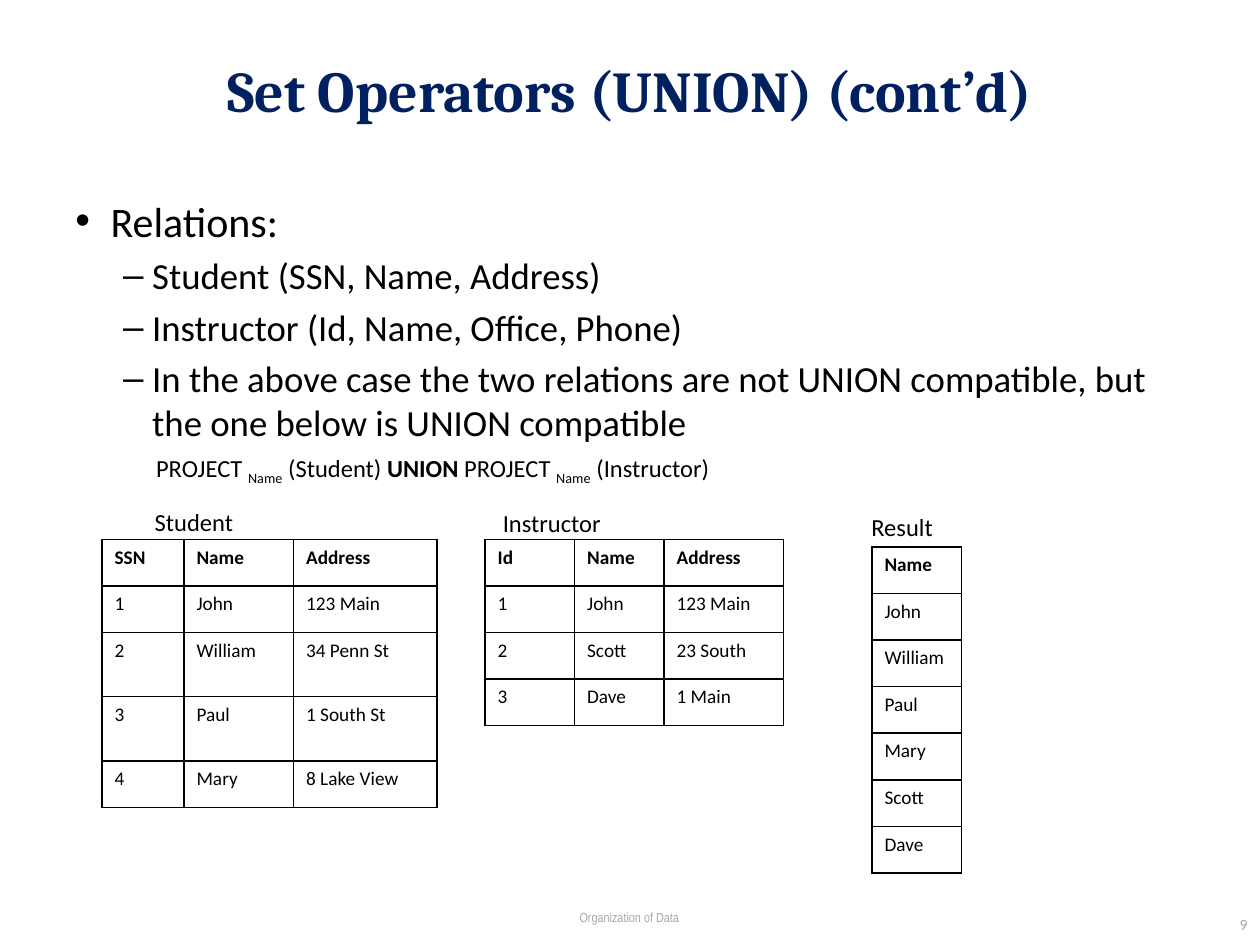
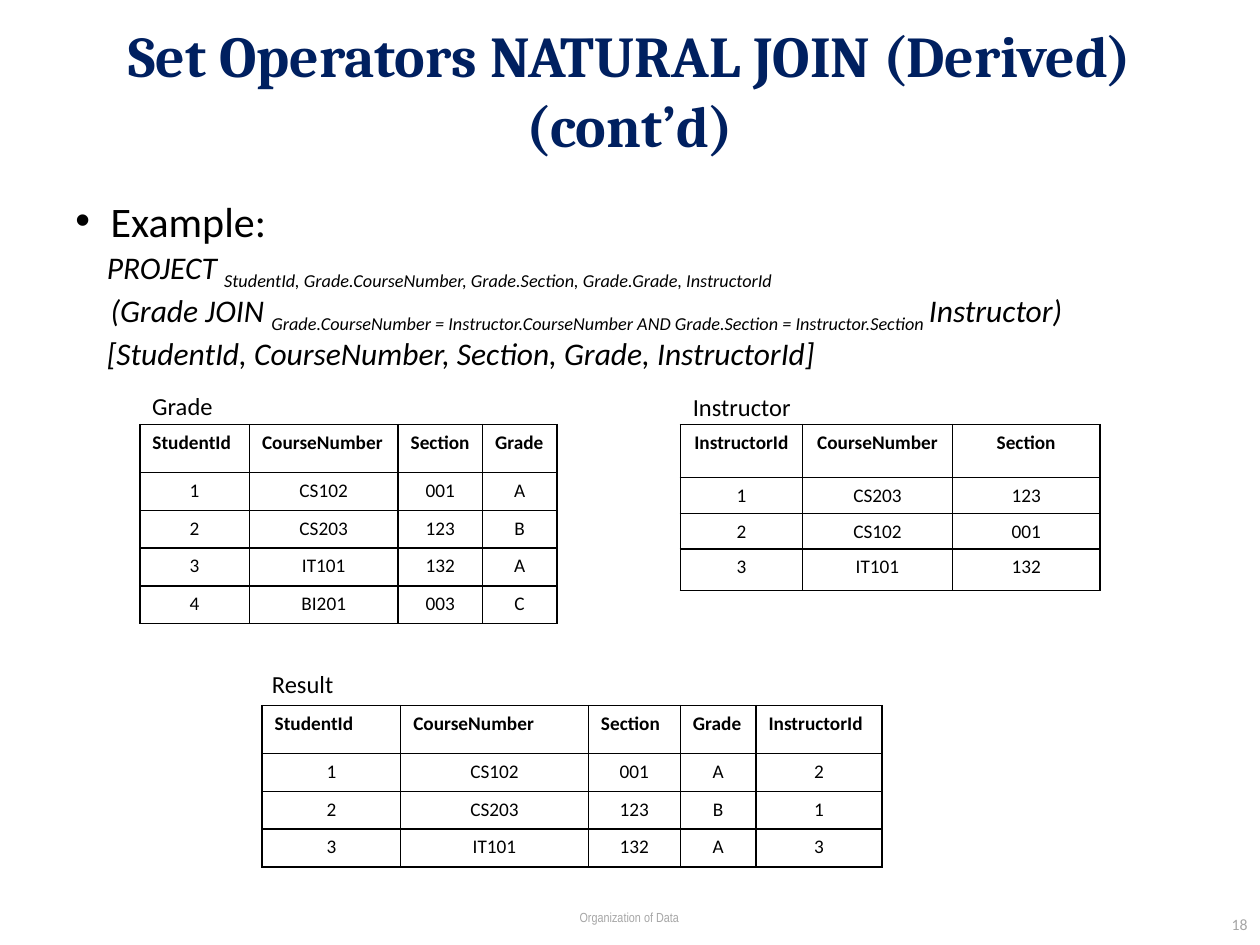
from lxml import etree
from pptx import Presentation
from pptx.dml.color import RGBColor
from pptx.enum.text import MSO_ANCHOR, MSO_AUTO_SIZE, PP_ALIGN
from pptx.oxml.ns import qn
from pptx.util import Inches, Pt

LEFT, CENTER, RIGHT = PP_ALIGN.LEFT, PP_ALIGN.CENTER, PP_ALIGN.RIGHT
TOP, MIDDLE = MSO_ANCHOR.TOP, MSO_ANCHOR.MIDDLE
NO_FIT = MSO_AUTO_SIZE.NONE
NAVY = RGBColor(0x00, 0x20, 0x60)
BLACK = RGBColor(0x00, 0x00, 0x00)
WHITE = RGBColor(0xFF, 0xFF, 0xFF)
GRAY = RGBColor(0xA6, 0xA6, 0xA6)
TITLE_FONT, BODY_FONT, FOOTER_FONT = "Cambria", "Calibri", "Arial Narrow"
FOOTER = "Organization of Data"
# Per outline level: bullet, left margin, hanging indent, text size
LEVELS = [("•", 0.28, 0.28, 24), ("–", 0.61, 0.23, 21)]
SUB, BOLD = "sub", "bold"

# Formula lines are (left margin, [(text, style), ...])
SLIDES = [
    {
        "title": "Set Operators (UNION) (cont’d)",
        "number": "9",
        "outline": [
            (0, "Relations:"),
            (1, "Student (SSN, Name, Address)"),
            (1, "Instructor (Id, Name, Office, Phone)"),
            (1, "In the above case the two relations are not UNION compatible, "
                "but the one below is UNION compatible"),
        ],
        "formula": {
            "at": (1.14, 3.54, 4.83, 0.38), "size": 14, "italic": False,
            "anchor": MIDDLE,
            "lines": [(0, [("PROJECT ", None), ("Name", SUB), (" (Student) ", None),
                           ("UNION", BOLD), (" PROJECT ", None), ("Name", SUB),
                           (" (Instructor)", None)])],
        },
        "tables": [
            {
                "label": "Student", "label_at": (0.81, 4, 1.46, 0.28),
                "label_align": CENTER, "head_align": LEFT, "body_align": LEFT,
                "at": (0.81, 4.28), "columns": [0.65, 0.87, 1.14],
                "heights": [0.37, 0.37, 0.51, 0.51, 0.37],
                "rows": [("SSN", "Name", "Address"),
                         ("1", "John", "123 Main"),
                         ("2", "William", "34 Penn St"),
                         ("3", "Paul", "1 South St"),
                         ("4", "Mary", "8 Lake View")],
            },
            {
                "label": "Instructor", "label_at": (3.65, 4.01, 1.46, 0.28),
                "label_align": CENTER, "head_align": LEFT, "body_align": LEFT,
                "at": (3.85, 4.28), "columns": [0.71, 0.71, 0.95],
                "heights": [0.37] * 4,
                "rows": [("Id", "Name", "Address"),
                         ("1", "John", "123 Main"),
                         ("2", "Scott", "23 South"),
                         ("3", "Dave", "1 Main")],
            },
            {
                "label": "Result", "label_at": (6.43, 4.04, 1.46, 0.28),
                "label_align": CENTER, "head_align": LEFT, "body_align": LEFT,
                "at": (6.92, 4.34), "columns": [0.71],
                "heights": [0.37] * 7,
                "rows": [("Name",), ("John",), ("William",), ("Paul",),
                         ("Mary",), ("Scott",), ("Dave",)],
            },
        ],
    },
    {
        "title": "Set Operators NATURAL JOIN (Derived) (cont’d)",
        "number": "18",
        "outline": [(0, "Example:")],
        "formula": {
            "at": (0, 1.92, 9.5, 1.01), "size": 18, "italic": True,
            "anchor": TOP,
            "lines": [
                (0.75, [("PROJECT ", None),
                        ("StudentId, Grade.CourseNumber, Grade.Section, "
                         "Grade.Grade, InstructorId", SUB)]),
                (0.78, [("(Grade JOIN ", None),
                        ("Grade.CourseNumber = Instructor.CourseNumber AND "
                         "Grade.Section = Instructor.Section ", SUB),
                        ("Instructor)", None)]),
                (0.75, [("[StudentId, CourseNumber, Section, Grade, InstructorId]",
                         None)]),
            ],
        },
        "tables": [
            {
                "label": "Grade", "label_at": (1.11, 3.07, 0.99, 0.3),
                "label_align": LEFT, "head_align": LEFT, "body_align": CENTER,
                "at": (1.11, 3.37), "columns": [0.87, 1.18, 0.67, 0.59],
                "heights": [0.38, 0.3, 0.3, 0.3, 0.3],
                "rows": [("StudentId", "CourseNumber", "Section", "Grade"),
                         ("1", "CS102", "001", "A"),
                         ("2", "CS203", "123", "B"),
                         ("3", "IT101", "132", "A"),
                         ("4", "BI201", "003", "C")],
            },
            {
                "label": "Instructor", "label_at": (5.4, 3.08, 1.42, 0.29),
                "label_align": LEFT, "head_align": CENTER, "body_align": CENTER,
                "at": (5.4, 3.37), "columns": [0.97, 1.19, 1.17],
                "heights": [0.42, 0.28, 0.28, 0.33],
                "rows": [("InstructorId", "CourseNumber", "Section"),
                         ("1", "CS203", "123"),
                         ("2", "CS102", "001"),
                         ("3", "IT101", "132")],
            },
            {
                "label": "Result", "label_at": (2.06, 5.28, 0.7, 0.29),
                "label_align": LEFT, "head_align": LEFT, "body_align": CENTER,
                "at": (2.08, 5.6), "columns": [1.1, 1.49, 0.73, 0.6, 1],
                "heights": [0.38, 0.3, 0.3, 0.3],
                "rows": [("StudentId", "CourseNumber", "Section", "Grade",
                          "InstructorId"),
                         ("1", "CS102", "001", "A", "2"),
                         ("2", "CS203", "123", "B", "1"),
                         ("3", "IT101", "132", "A", "3")],
            },
        ],
    },
]


def add_span(para, text, size, color=BLACK, font=BODY_FONT, bold=False, italic=False):
    """Add one formatted run and return it."""
    span = para.add_run()
    span.text = text
    span.font.name, span.font.size = font, Pt(size)
    span.font.color.rgb = color
    span.font.bold, span.font.italic = bold, italic
    return span


def add_box(page, at, anchor=TOP):
    """Add an empty wrapping text box and return its text frame."""
    frame = page.shapes.add_textbox(*map(Inches, at)).text_frame
    frame.word_wrap = True
    frame.vertical_anchor = anchor
    return frame


def add_line(page, text, at, size, align, anchor=MIDDLE, **style):
    """Add a text box that holds a single run."""
    para = add_box(page, at, anchor).paragraphs[0]
    para.alignment = align
    add_span(para, text, size, **style)


def next_para(frame, index):
    """Return the first paragraph, or a new one after it."""
    return frame.add_paragraph() if index else frame.paragraphs[0]


def set_title(page, text):
    """Place and format the title placeholder."""
    title = page.shapes.title
    title.left, title.top, title.width, title.height = map(Inches, (0.5, 0, 9, 1.42))
    frame = title.text_frame
    frame.auto_size, frame.vertical_anchor = NO_FIT, MIDDLE
    frame.paragraphs[0].alignment = CENTER
    add_span(frame.paragraphs[0], text, 33, NAVY, TITLE_FONT, bold=True)


def add_outline(page, items):
    """Add the bulleted body text."""
    frame = add_box(page, (0.5, 1.5, 9, 5.2))
    for index, (level, text) in enumerate(items):
        bullet, margin, hanging, size = LEVELS[level]
        para = next_para(frame, index)
        para.level = level
        para.space_before = Pt(0.2 * size)
        props = para._p.get_or_add_pPr()
        props.set("marL", str(Inches(margin)))
        props.set("indent", str(-Inches(hanging)))
        etree.SubElement(props, qn("a:buFont"), typeface="Arial")
        etree.SubElement(props, qn("a:buChar"), char=bullet)
        add_span(para, text, size)


def add_formula(page, formula):
    """Add relational algebra lines with subscripts."""
    frame = add_box(page, formula["at"], formula["anchor"])
    for index, (margin, spans) in enumerate(formula["lines"]):
        para = next_para(frame, index)
        para._p.get_or_add_pPr().set("marL", str(Inches(margin)))
        for text, style in spans:
            span = add_span(para, text, formula["size"], bold=style == BOLD,
                            italic=formula["italic"])
            if style == SUB:
                span._r.get_or_add_rPr().set("baseline", "-25000")


def format_cell(cell):
    """Give a cell thin black borders and a white fill."""
    props = cell._tc.get_or_add_tcPr()
    for side in ("lnL", "lnR", "lnT", "lnB"):
        border = etree.SubElement(props, qn("a:" + side), w=str(Pt(1)))
        fill = etree.SubElement(border, qn("a:solidFill"))
        etree.SubElement(fill, qn("a:srgbClr"), val=str(BLACK))
    cell.fill.solid()
    cell.fill.fore_color.rgb = WHITE


def add_relation(page, relation):
    """Add a relation: its label and its table."""
    add_line(page, relation["label"], relation["label_at"], 14, relation["label_align"])
    rows, columns, heights = relation["rows"], relation["columns"], relation["heights"]
    area = (*relation["at"], sum(columns), sum(heights))
    table = page.shapes.add_table(len(rows), len(columns), *map(Inches, area)).table
    table.first_row = table.horz_banding = False
    for column, width in zip(table.columns, columns):
        column.width = Inches(width)
    for r, values in enumerate(rows):
        table.rows[r].height = Inches(heights[r])
        for c, value in enumerate(values):
            cell = table.cell(r, c)
            format_cell(cell)
            para = cell.text_frame.paragraphs[0]
            para.alignment = relation["body_align" if r else "head_align"]
            add_span(para, value, 11, bold=r == 0)


def add_footer(page, number):
    """Add the course name and the page number."""
    add_line(page, FOOTER, (2.83, 7.17, 4.33, 0.31), 7.5, CENTER, TOP,
             color=GRAY, font=FOOTER_FONT)
    add_line(page, number, (7.17, 7.17, 2.83, 0.33), 9, RIGHT, color=GRAY)


def main():
    """Build and save the deck."""
    deck = Presentation()
    deck.slide_width, deck.slide_height = Inches(10), Inches(7.5)
    title_only = deck.slide_layouts[5]
    for content in SLIDES:
        page = deck.slides.add_slide(title_only)
        set_title(page, content["title"])
        add_outline(page, content["outline"])
        add_footer(page, content["number"])
        add_formula(page, content["formula"])
        for relation in content["tables"]:
            add_relation(page, relation)
    deck.save("out.pptx")


main()
